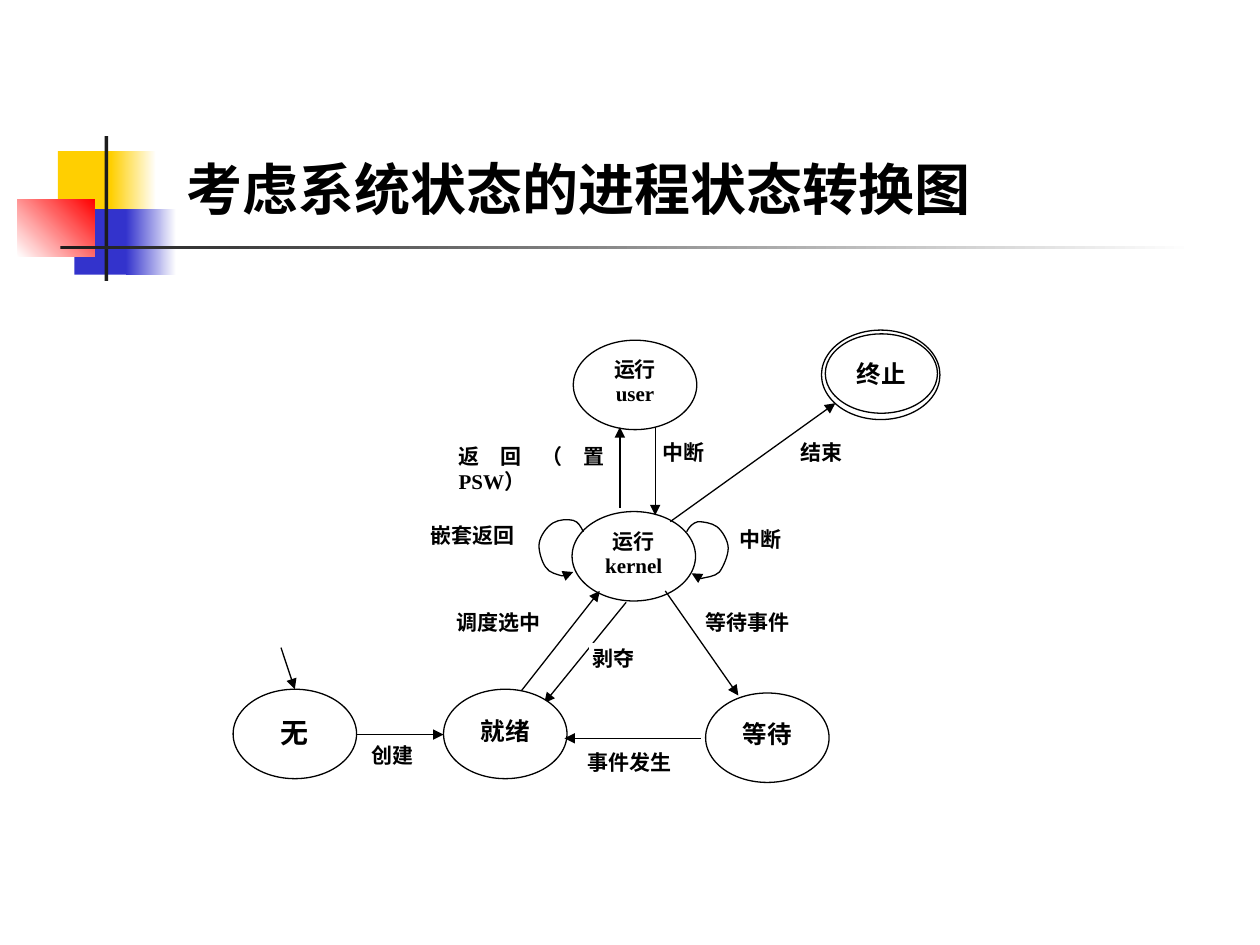
from lxml import etree
from pptx import Presentation
from pptx import util as u
from pptx.dml.color import RGBColor
from pptx.enum import shapes, text
from pptx.oxml import ns

BLACK = RGBColor(0x00, 0x00, 0x00)
WHITE = RGBColor(0xFF, 0xFF, 0xFF)
YELLOW = RGBColor(0xFF, 0xCF, 0x01)
BLUE = RGBColor(0x33, 0x33, 0xCC)
RED = RGBColor(0xFF, 0x00, 0x00)
DARK = RGBColor(0x1C, 0x1C, 0x1C)


class Diagram:
    body_font = "Times New Roman"
    title_font = "Roboto"
    line_width = u.Pt(0.75)
    label_insets = (0.02, 0.01, 0.02, 0.01)

    def __init__(self, slide):
        self.s = slide

    def shape(self, kind, box, fill=None, line=None):
        sp = self.s.shapes.add_shape(kind, *map(u.Inches, box))
        sp.shadow.inherit = False
        self.paint(sp, fill, line)
        return sp

    def paint(self, sp, fill, line):
        if fill is None:
            sp.fill.background()
        else:
            sp.fill.solid()
            sp.fill.fore_color.rgb = fill
        if line is None:
            sp.line.fill.background()
        else:
            sp.line.color.rgb = line
            sp.line.width = self.line_width

    def block(self, box, color):
        return self.shape(shapes.MSO_SHAPE.RECTANGLE, box, color)

    def fade(self, box, start, end, angle=0):
        sp = self.block(box, start)
        sp.fill.gradient()
        sp.fill.gradient_angle = angle
        for stop, color, position in zip(sp.fill.gradient_stops, (start, end), (0, 1)):
            stop.color.rgb = color
            stop.position = position

    def add_lines(self, tf, lines, size, font, align, spacing=None):
        for i, line in enumerate(lines):
            p = tf.add_paragraph() if i else tf.paragraphs[0]
            p.alignment = align
            p.line_spacing = spacing
            r = p.add_run()
            r.text = line
            r.font.name = font
            r.font.size = u.Pt(size)
            r.font.bold = True
            r.font.color.rgb = BLACK

    def frame(self, sp, insets):
        tf = sp.text_frame
        tf.word_wrap = True
        tf.vertical_anchor = text.MSO_ANCHOR.TOP
        tf.margin_left, tf.margin_top, tf.margin_right, tf.margin_bottom = map(u.Inches, insets)
        return tf

    def label(self, box, words):
        sp = self.shape(shapes.MSO_SHAPE.RECTANGLE, box, WHITE, WHITE)
        tf = self.frame(sp, self.label_insets)
        self.add_lines(tf, [words], 12, self.body_font, text.PP_ALIGN.JUSTIFY)

    def state(self, box, lines, size):
        sp = self.shape(shapes.MSO_SHAPE.OVAL, box, WHITE, BLACK)
        insets = (0.04,) * 4 if len(lines) > 1 else (0.04, 0.12, 0.04, 0.08)
        tf = self.frame(sp, insets)
        self.add_lines(tf, lines, size, self.body_font, text.PP_ALIGN.CENTER, 0.96)

    def ring(self, box):
        self.shape(shapes.MSO_SHAPE.OVAL, box, None, BLACK)

    def arrowhead(self, sp):
        ln = sp.line._get_or_add_ln()
        etree.SubElement(ln, ns.qn("a:tailEnd"), type="triangle")

    def arrow(self, start, end):
        cx = self.s.shapes.add_connector(
            shapes.MSO_CONNECTOR.STRAIGHT, *map(u.Inches, start + end))
        cx.line.color.rgb = BLACK
        cx.line.width = self.line_width
        self.arrowhead(cx)
        etree.SubElement(cx._element.spPr, ns.qn("a:effectLst"))

    def loop(self, points):
        start, *rest = [tuple(map(u.Inches, pt)) for pt in points]
        fb = self.s.shapes.build_freeform(*start)
        fb.add_line_segments(rest, close=False)
        sp = fb.convert_to_shape()
        sp.shadow.inherit = False
        self.paint(sp, None, BLACK)
        self.arrowhead(sp)
        segments = list(sp._element.iter(ns.qn("a:lnTo")))
        for i in range(0, len(segments), 3):
            curve = etree.Element(ns.qn("a:cubicBezTo"))
            segments[i].addprevious(curve)
            for segment in segments[i:i + 3]:
                curve.append(segment[0])
                segment.getparent().remove(segment)

    def title(self, box, words):
        sp = self.s.shapes.add_textbox(*map(u.Inches, box))
        tf = sp.text_frame
        tf.word_wrap = True
        tf.auto_size = text.MSO_AUTO_SIZE.SHAPE_TO_FIT_TEXT
        self.add_lines(tf, [words], 32, self.title_font, text.PP_ALIGN.LEFT)


def main():
    prs = Presentation()
    prs.slide_width, prs.slide_height = u.Inches(10), u.Inches(7.5)
    d = Diagram(prs.slides.add_slide(prs.slide_layouts[6]))

    d.block((0.46, 1.2, 0.48, 0.52), YELLOW)
    d.fade((0.88, 1.2, 0.36, 0.52), YELLOW, WHITE)
    d.block((0.59, 1.66, 0.46, 0.52), BLUE)
    d.fade((1, 1.66, 0.4, 0.52), BLUE, WHITE)
    d.fade((0.14, 1.58, 0.61, 0.46), WHITE, RED, 45)
    d.block((0.83, 1.08, 0.03, 1.15), DARK)
    d.fade((0.48, 1.95, 9, 0.03), DARK, WHITE)

    d.arrow((4.97, 4.78), (4.32, 5.58))
    for x, y, width, words in (
        (5.58, 4.83, 0.8, "等待事件"),
        (3.6, 4.83, 0.78, "调度选中"),
        (4.68, 5.11, 0.5, "剥夺"),
        (5.24, 3.48, 0.46, "中断"),
        (3.62, 3.51, 1.2, "返回（置PSW）"),
        (4.64, 5.94, 0.82, "事件发生"),
        (5.85, 4.17, 0.5, "中断"),
        (3.4, 4.14, 0.8, "嵌套返回"),
        (2.93, 5.88, 0.48, "创建"),
        (6.33, 3.48, 0.48, "结束"),
    ):
        d.label((x, y, width, 0.33), words)

    for x, y, lines, size in (
        (4.55, 2.7, ["运行", "user"], 12),
        (4.54, 4.06, ["运行", "kernel"], 12),
        (5.6, 5.5, ["等待"], 14),
        (3.52, 5.47, ["就绪"], 14),
        (1.85, 5.47, ["无"], 16),
    ):
        d.state((x, y, 0.98, 0.71), lines, size)
    d.state((6.55, 2.65, 0.89, 0.63), ["终止"], 14)
    d.ring((6.52, 2.62, 0.94, 0.71))

    for start, end in (
        ((5.2, 3.39), (5.2, 4.09)),
        ((4.92, 4.03), (4.92, 3.39)),
        ((5.28, 4.69), (5.86, 5.52)),
        ((4.14, 5.48), (4.76, 4.69)),
        ((5.56, 5.86), (4.48, 5.86)),
        ((2.83, 5.83), (3.52, 5.83)),
        ((5.32, 4.14), (6.63, 3.2)),
        ((2.23, 5.14), (2.34, 5.47)),
    ):
        d.arrow(start, end)

    d.loop([(5.45, 4.22), (5.47, 4.18), (5.5, 4.15), (5.54, 4.14),
            (5.58, 4.14), (5.65, 4.15), (5.69, 4.18),
            (5.73, 4.21), (5.78, 4.29), (5.78, 4.35),
            (5.78, 4.41), (5.74, 4.5), (5.71, 4.54),
            (5.67, 4.58), (5.6, 4.58), (5.57, 4.59),
            (5.53, 4.59), (5.51, 4.57), (5.49, 4.55)])
    d.loop([(4.63, 4.22), (4.61, 4.18), (4.59, 4.14), (4.55, 4.13),
            (4.51, 4.12), (4.44, 4.12), (4.39, 4.15),
            (4.34, 4.18), (4.29, 4.25), (4.28, 4.31),
            (4.27, 4.36), (4.3, 4.46), (4.33, 4.5),
            (4.36, 4.55), (4.43, 4.56), (4.46, 4.57),
            (4.5, 4.57), (4.53, 4.56), (4.55, 4.54)])
    d.title((1.38, 1.18, 6.61, 0.63), "考虑系统状态的进程状态转换图")

    prs.save("out.pptx")


if __name__ == "__main__":
    main()
